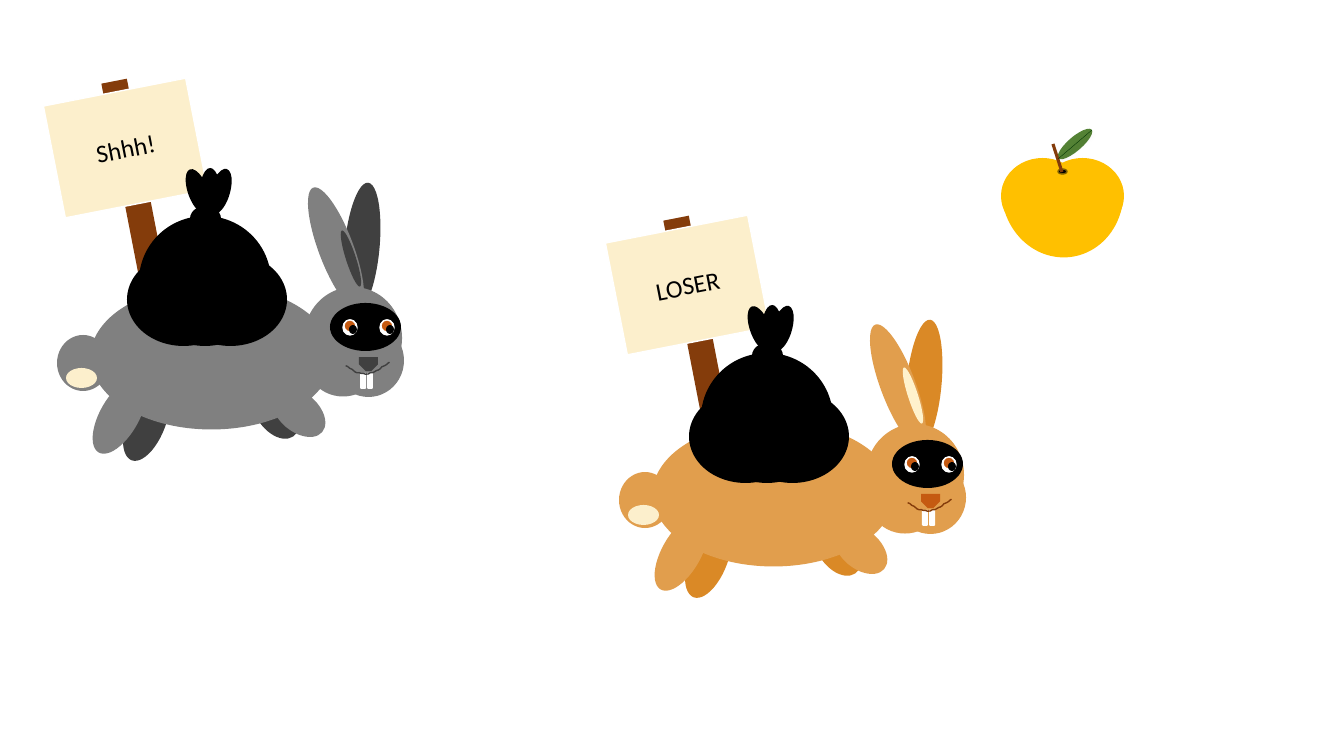
from dataclasses import dataclass

from lxml import etree
from pptx import Presentation
from pptx.dml.color import RGBColor
from pptx.enum.shapes import MSO_CONNECTOR, MSO_SHAPE
from pptx.enum.text import MSO_ANCHOR, PP_ALIGN
from pptx.oxml.ns import qn
from pptx.util import Pt

OVAL = MSO_SHAPE.OVAL
RECT = MSO_SHAPE.RECTANGLE
SNIP = MSO_SHAPE.SNIP_2_SAME_RECTANGLE
CHORD = MSO_SHAPE.CHORD
STRAIGHT = MSO_CONNECTOR.STRAIGHT
MIDDLE = MSO_ANCHOR.MIDDLE
CENTER = PP_ALIGN.CENTER
PX = 914400 / 100.8  # EMU per pixel


@dataclass(frozen=True)
class Theme:
    font: str = "Calibri"
    sign_size: int = 18
    black: str = "000000"
    white: str = "FFFFFF"
    cream: str = "FCEFCC"
    pale: str = "FFF2CC"
    wood: str = "843C0B"
    rust: str = "C55A11"
    grey: str = "808080"
    dark_grey: str = "404040"
    tan: str = "E19E4D"
    dark_tan: str = "DA8926"
    apple: str = "FFC000"
    leaf: str = "548235"
    vein: str = "003300"
    hollow_rim: str = "806000"


T = Theme()


def draw(parts, kind, box, fill, rot=0, line=None, shift=(0, 0), adj=()):
    left, top, width, height = box
    shape = parts.add_shape(kind, int((left + shift[0]) * PX), int((top + shift[1]) * PX),
                            int(width * PX), int(height * PX))
    shape.rotation = rot
    shape.shadow.inherit = False
    shape.fill.solid()
    shape.fill.fore_color.rgb = RGBColor.from_string(fill)
    if line:
        shape.line.color.rgb = RGBColor.from_string(line)
        shape.line.width = Pt(1)
    else:
        shape.line.fill.background()
    for index, value in enumerate(adj):
        shape.adjustments[index] = value
    return shape


def write(shape, text, size=T.sign_size, color=T.black, align=CENTER, anchor=MIDDLE):
    frame = shape.text_frame
    frame.word_wrap = True
    frame.vertical_anchor = anchor
    paragraph = frame.paragraphs[0]
    paragraph.alignment = align
    run = paragraph.add_run()
    run.text = text
    run.font.name = T.font
    run.font.size = Pt(size)
    run.font.color.rgb = RGBColor.from_string(color)


deck = Presentation()
deck.slide_width, deck.slide_height = int(1344 * PX), int(756 * PX)
slide = deck.slides.add_slide(deck.slide_layouts[6])

# Smile: a start point and three cubic curves
smile_start = (346, 364)
smile_curves = [((351, 368), (356, 372), (361, 373)),
                ((366, 374), (370, 374), (375, 372)),
                ((379, 371), (386, 366), (390, 364))]
smile = []
start = smile_start
for curve in smile_curves:
    for step in range(1, 9):
        t = step / 8
        smile.append(tuple((1 - t) ** 3 * a + 3 * (1 - t) ** 2 * t * b
                           + 3 * (1 - t) * t ** 2 * c + t ** 3 * d
                           for a, b, c, d in zip(start, *curve)))
    start = curve[-1]

# Two rabbits of one build: sign, shift, coat, far side, nose, smile, inner ear
rabbits = [
    ("Shhh!", (0, 0), T.grey, T.dark_grey, T.dark_grey, T.dark_grey, T.dark_grey),
    ("LOSER", (562, 137), T.tan, T.dark_tan, T.rust, T.wood, T.pale),
]
for sign, shift, coat, far_side, nose, smile_color, inner_ear in rabbits:
    rabbit = slide.shapes.add_group_shape().shapes

    # Far ear and legs, then cheeks, body, head, near ear and mask
    for box, rot, fill in [
        ((297, 230, 130, 35), 95.4, far_side),
        ((127, 379, 39, 84), 200.7, far_side),
        ((256, 380, 39, 62), 144.9, far_side),
        ((311, 329, 64, 71), 90, coat),
        ((332, 325, 73, 71), 90, coat),
        ((139, 236, 145, 242), 90, coat),
        ((302, 289, 102, 98), 90, coat),
        ((271, 231, 130, 35), 69.5, coat),
        ((330, 303, 71, 48), 0, T.black),
    ]:
        draw(rabbit, OVAL, box, fill, rot, shift=shift)

    # Eyes
    for eye in (343, 380):
        draw(rabbit, OVAL, (eye, 320, 14, 15), T.white, line=T.white, shift=shift)
        draw(rabbit, OVAL, (eye + 1, 320, 12, 12), T.rust, line=T.white, shift=shift)
        draw(rabbit, OVAL, (eye + 6, 325, 8, 9), T.black, shift=shift)

    # Teeth, smile and nose
    for tooth in (360, 367):
        draw(rabbit, SNIP, (tooth, 373, 6, 16), T.white, 180, shift=shift)
    outline = rabbit.build_freeform(smile_start[0] + shift[0], smile_start[1] + shift[1], scale=PX)
    outline.add_line_segments([(x + shift[0], y + shift[1]) for x, y in smile], close=False)
    mouth = outline.convert_to_shape()
    mouth.rotation = 355.5
    mouth.shadow.inherit = False
    mouth.fill.background()
    mouth.line.color.rgb = RGBColor.from_string(smile_color)
    mouth.line.width = Pt(1)
    draw(rabbit, SNIP, (359, 357, 19, 14), nose, 180, shift=shift, adj=(0.48, 0))

    # Tail and near legs
    for box, rot in [((55, 337, 56, 52), 90), ((279, 381, 39, 62), 130.2),
                     ((100, 374, 39, 84), 209.7)]:
        draw(rabbit, OVAL, box, coat, rot, shift=shift)

    # Sign
    draw(rabbit, RECT, (124, 79, 26, 240), T.wood, 349, shift=shift)
    board = draw(rabbit, RECT, (53, 91, 145, 114), T.cream, 348.9, line=T.white, shift=shift)
    write(board, sign)

    # Sack with its knot and three tips
    for box, rot in [((139, 216, 132, 130), 0), ((174, 253, 113, 93), 0),
                     ((127, 253, 113, 93), 0), ((190, 206, 31, 25), 0),
                     ((188, 168, 20, 47), 340.1), ((200, 168, 20, 47), 0.6),
                     ((210, 168, 20, 47), 16.7)]:
        draw(rabbit, OVAL, box, T.black, rot, shift=shift)

    # Inner ear and tail patch
    draw(rabbit, OVAL, (346, 229, 10, 59), inner_ear, 342.2, shift=shift)
    draw(rabbit, OVAL, (66, 368, 31, 20), T.cream, shift=shift)

# Apple
apple = slide.shapes.add_group_shape().shapes
for half in (1041, 1001):
    draw(apple, OVAL, (half, 158, 83, 76), T.apple)
draw(apple, OVAL, (1053, 137, 44, 14), T.leaf, 319.3)
draw(apple, OVAL, (1058, 169, 9, 5), T.black, line=T.hollow_rim)

# Stem, and leaf vein with a soft shadow
for ends, color, width, shaded in [((1062, 172, 1053, 144), T.wood, 2.25, False),
                                   ((1058, 159, 1092, 130), T.vein, 0.25, True)]:
    stroke = apple.add_connector(STRAIGHT, *(int(n * PX) for n in ends))
    stroke.line.color.rgb = RGBColor.from_string(color)
    stroke.line.width = Pt(width)
    effects = etree.SubElement(stroke._element.spPr, qn("a:effectLst"))
    if shaded:
        shadow = etree.SubElement(effects, qn("a:outerShdw"), blurRad=str(Pt(4)),
                                  dist=str(Pt(3)), dir="5400000", rotWithShape="0")
        tint = etree.SubElement(shadow, qn("a:srgbClr"), val=T.black)
        etree.SubElement(tint, qn("a:alpha"), val="40000")

# Apple base
draw(apple, CHORD, (996, 130, 133, 122), T.apple, 262.8, adj=(66.53, 161.39))

deck.save("out.pptx")
